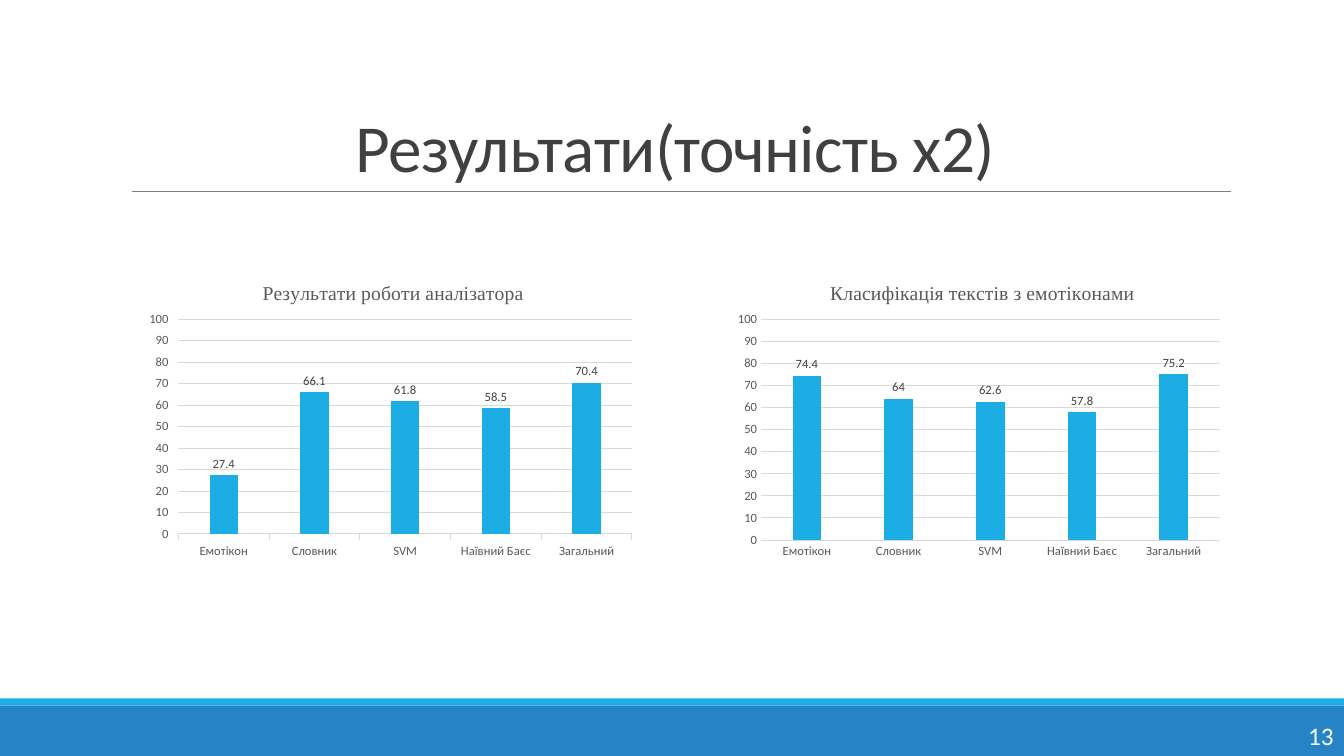
from lxml import etree
from pptx import Presentation
from pptx.chart.data import CategoryChartData
from pptx.dml.color import RGBColor
from pptx.enum.chart import XL_CHART_TYPE, XL_LABEL_POSITION, XL_TICK_MARK
from pptx.enum.shapes import MSO_CONNECTOR, MSO_SHAPE
from pptx.enum.text import MSO_ANCHOR, PP_ALIGN
from pptx.oxml import parse_xml
from pptx.oxml.ns import nsdecls, qn
from pptx.util import Cm, Pt

COLUMNS = XL_CHART_TYPE.COLUMN_CLUSTERED
OUTSIDE_END = XL_LABEL_POSITION.OUTSIDE_END
TICK_OUT, TICK_NONE = XL_TICK_MARK.OUTSIDE, XL_TICK_MARK.NONE
STRAIGHT = MSO_CONNECTOR.STRAIGHT
RECT = MSO_SHAPE.RECTANGLE
TOP, BOTTOM = MSO_ANCHOR.TOP, MSO_ANCHOR.BOTTOM
LEFT, CENTER = PP_ALIGN.LEFT, PP_ALIGN.CENTER

COLORS = {
    "footer": "2683C6",
    "accent": "1CADE4",
    "rule": "808080",
    "dark": "404040",
    "muted": "595959",
    "grid": "D9D9D9",
    "white": "FFFFFF",
}
CATEGORIES = ["Емотікон", "Словник", "SVM", "Наївний Баєс", "Загальний"]


class SlideBuilder:
    font = "Calibri"
    chart_title_font = "Times New Roman"

    def __init__(self, slide):
        self.s = slide

    def color(self, name):
        return RGBColor.from_string(COLORS[name])

    def style(self, font, size, color, name=None):
        font.name = name or self.font
        font.size = Pt(size)
        font.bold = False
        font.color.rgb = self.color(color)

    def band(self, x, y, w, h, color):
        sp = self.s.shapes.add_shape(RECT, Cm(x), Cm(y), Cm(w), Cm(h))
        sp.shadow.inherit = False
        sp.fill.solid()
        sp.fill.fore_color.rgb = self.color(color)
        sp.line.fill.background()

    def rule(self, x1, x2, y):
        line = self.s.shapes.add_connector(STRAIGHT, Cm(x1), Cm(y), Cm(x2), Cm(y))
        line.line.color.rgb = self.color("rule")
        line.line.width = Pt(0.5)
        etree.SubElement(line._element.spPr, qn("a:effectLst"))

    def text(self, x, y, w, h, text, size, color, align=LEFT, anchor=TOP,
             wrap=True, line_spacing=1.0, tracking=0):
        tf = self.s.shapes.add_textbox(Cm(x), Cm(y), Cm(w), Cm(h)).text_frame
        tf.word_wrap = wrap
        tf.vertical_anchor = anchor
        p = tf.paragraphs[0]
        p.alignment = align
        p.line_spacing = line_spacing
        r = p.add_run()
        r.text = text
        self.style(p.font, size, color)
        if tracking:
            r._r.get_or_add_rPr().set("spc", str(round(tracking * 100)))

    def layout(self, parent, index, target=None, **box):
        old = parent.find(qn("c:layout"))
        if old is not None:
            parent.remove(old)
        parts = [f'<c:layoutTarget val="{target}"/>'] if target else []
        parts += [f'<c:{axis}Mode val="edge"/>' for axis in "xy"]
        parts += [f'<c:{key} val="{val}"/>' for key, val in box.items()]
        parent.insert(index, parse_xml(
            f'<c:layout {nsdecls("c")}><c:manualLayout>{"".join(parts)}'
            '</c:manualLayout></c:layout>'))

    def chart(self, x, y, w, h, title, values, tick, title_x, plot):
        data = CategoryChartData()
        data.categories = CATEGORIES
        data.add_series("Series 1", values)
        chart = self.s.shapes.add_chart(
            COLUMNS, Cm(x), Cm(y), Cm(w), Cm(h), data).chart
        chart.has_legend = False
        self.style(chart.font, 9, "muted")

        chart.has_title = True
        tf = chart.chart_title.text_frame
        tf.text = title
        self.style(tf.paragraphs[0].font, 14, "muted", self.chart_title_font)
        chart.chart_title.include_in_layout = False
        self.layout(chart.chart_title._element, 1, x=title_x, y=0.05)
        self.layout(chart._chartSpace.chart.plotArea, 0, "inner", **plot)

        for axis in (chart.category_axis, chart.value_axis):
            axis.major_tick_mark = tick
            axis.minor_tick_mark = TICK_NONE
            self.style(axis.tick_labels.font, 9, "muted")
        chart.category_axis.has_major_gridlines = False
        chart.value_axis.has_major_gridlines = True
        for line in (chart.category_axis.format.line,
                     chart.value_axis.major_gridlines.format.line):
            line.color.rgb = self.color("grid")
            line.width = Pt(0.75)
        chart.value_axis.format.line.fill.background()
        chart.value_axis.minimum_scale = 0
        chart.value_axis.maximum_scale = 100
        chart.value_axis.major_unit = 10

        bars = chart.plots[0]
        bars.gap_width = 219
        bars.overlap = -27
        bars.vary_by_categories = False
        fill = bars.series[0].format.fill
        fill.solid()
        fill.fore_color.rgb = self.color("accent")
        bars.has_data_labels = True
        labels = bars.data_labels
        labels.show_value = True
        labels.position = OUTSIDE_END
        self.style(labels.font, 9, "dark")


def main():
    prs = Presentation()
    prs.slide_width, prs.slide_height = Cm(33.87), Cm(19.05)
    b = SlideBuilder(prs.slides.add_slide(prs.slide_layouts[6]))

    b.band(0, 17.78, 33.87, 1.27, "footer")
    b.band(0, 17.6, 33.87, 0.18, "accent")
    b.rule(3.33, 31.01, 4.83)
    b.text(3.05, 0.79, 27.94, 4.04, "Результати(точність х2)", 48, "dark",
           align=CENTER, anchor=BOTTOM, line_spacing=0.85, tracking=-0.5)
    b.text(32.72, 18.03, 1.17, 1.02, "13", 18, "white", wrap=False)

    charts = [
        (3.48, "Результати роботи аналізатора", [27.4, 66.1, 61.8, 58.5, 70.4],
         TICK_OUT, 0.24, dict(x=0.08, y=0.19, w=0.9, h=0.71)),
        (18.29, "Класифікація текстів з емотіконами", [74.4, 64, 62.6, 57.8, 75.2],
         TICK_NONE, 0.2, dict(x=0.07, y=0.19, w=0.91, h=0.73)),
    ]
    for x, *details in charts:
        b.chart(x, 6.6, 12.7, 7.62, *details)

    prs.save("out.pptx")


if __name__ == "__main__":
    main()
